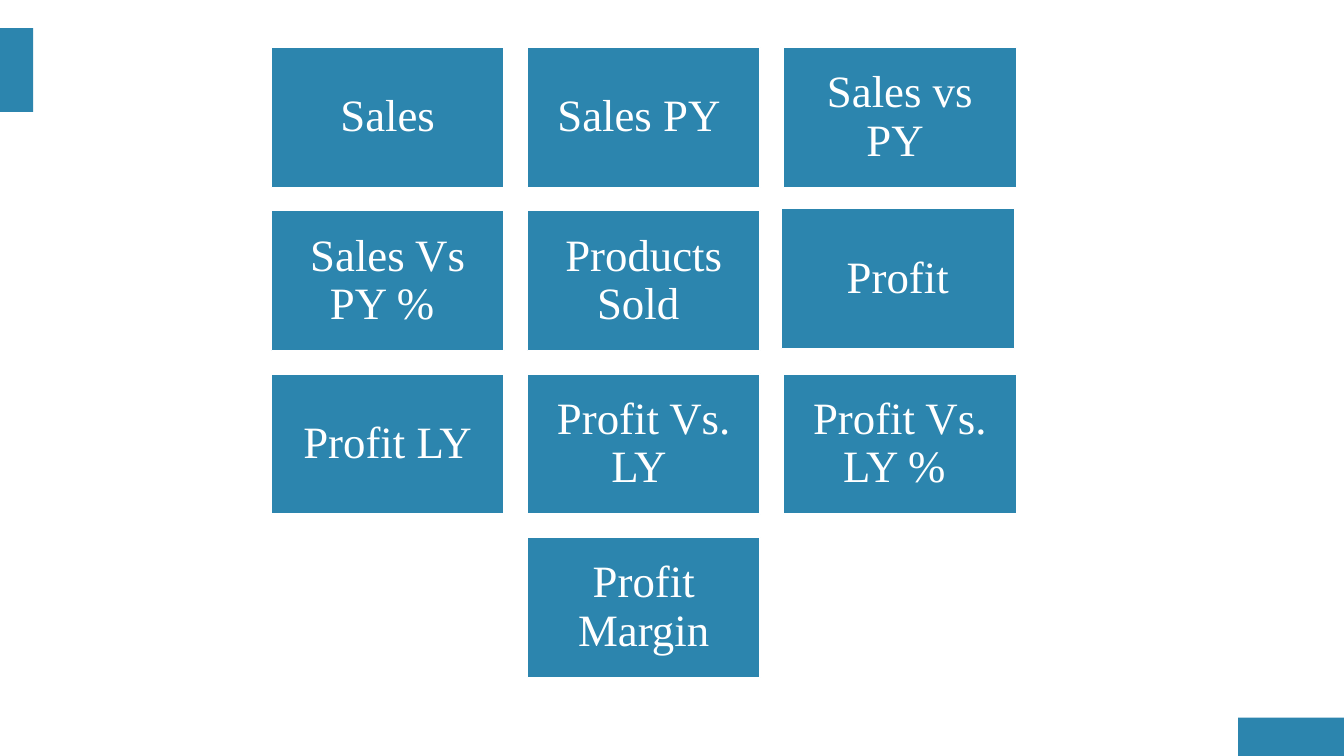
import dataclasses

import pptx
import pptx.dml.color
import pptx.enum.shapes
import pptx.enum.text
import pptx.util


@dataclasses.dataclass(frozen=True)
class Theme:
    accent: str = "2C85AE"
    light: str = "FFFFFF"
    font: str = "Times New Roman"
    tile_size: int = 32
    outline: float = 1
    line_spacing: float = 0.9
    inset: float = 0.13


@dataclasses.dataclass(frozen=True)
class Grid:
    """Tile grid in inches; a pitch is one tile plus the gap after it."""
    left: float = 2.69
    top: float = 0.47
    tile_width: float = 2.31
    tile_height: float = 1.39
    column_pitch: float = 2.54
    row_pitch: float = 1.62

    def place(self, column, row):
        return (self.left + column * self.column_pitch,
                self.top + row * self.row_pitch,
                self.tile_width, self.tile_height)


def color(code):
    return pptx.dml.color.RGBColor.from_string(code)


def write_text(shape, text, *, font, size, ink, line_spacing, inset):
    frame = shape.text_frame
    frame.word_wrap = True
    frame.auto_size = pptx.enum.text.MSO_AUTO_SIZE.TEXT_TO_FIT_SHAPE
    frame.vertical_anchor = pptx.enum.text.MSO_ANCHOR.MIDDLE
    for side in ("left", "right", "top", "bottom"):
        setattr(frame, f"margin_{side}", pptx.util.Inches(inset))
    paragraph = frame.paragraphs[0]
    paragraph.alignment = pptx.enum.text.PP_ALIGN.CENTER
    paragraph.line_spacing = line_spacing
    run = paragraph.add_run()
    run.text = text
    run.font.name = font
    run.font.size = pptx.util.Pt(size)
    run.font.color.rgb = color(ink)


class MetricSlide:
    def __init__(self, presentation, theme, grid):
        self.theme = theme
        self.grid = grid
        self.slide = presentation.slides.add_slide(presentation.slide_layouts[6])

    def block(self, left, top, width, height):
        """Add a plain accent rectangle, measured in inches."""
        shape = self.slide.shapes.add_shape(
            pptx.enum.shapes.MSO_SHAPE.RECTANGLE,
            *(pptx.util.Inches(length) for length in (left, top, width, height)))
        shape.shadow.inherit = False
        shape.fill.solid()
        shape.fill.fore_color.rgb = color(self.theme.accent)
        shape.line.fill.background()
        return shape

    def tile(self, text, column, row):
        theme = self.theme
        shape = self.block(*self.grid.place(column, row))
        shape.line.color.rgb = color(theme.light)
        shape.line.width = pptx.util.Pt(theme.outline)
        write_text(shape, text, font=theme.font, size=theme.tile_size,
                   ink=theme.light, line_spacing=theme.line_spacing,
                   inset=theme.inset)
        return shape


# Trailing spaces belong to the labels and shift their centring.
METRIC_ROWS = [
    ["Sales", "Sales PY ", "Sales vs PY "],
    ["Sales Vs PY % ", "Products Sold ", "Profit"],
    ["Profit LY", "Profit Vs. LY ", "Profit Vs. LY % "],
    ["Profit Margin"],
]
COLUMNS = 3
PROFIT_NUDGE = pptx.util.Inches(0.02)


def main():
    presentation = pptx.Presentation()
    presentation.slide_width = pptx.util.Inches(13.33)
    presentation.slide_height = pptx.util.Inches(7.5)
    metrics = MetricSlide(presentation, Theme(), Grid())

    metrics.block(12.28, 7.12, 1.05, 0.38)
    metrics.block(0, 0.28, 0.33, 0.83)

    for row, labels in enumerate(METRIC_ROWS):
        first_column = (COLUMNS - len(labels)) / 2
        for index, label in enumerate(labels):
            tile = metrics.tile(label, first_column + index, row)
            if label == "Profit":
                tile.left -= PROFIT_NUDGE
                tile.top -= PROFIT_NUDGE

    presentation.save("out.pptx")


if __name__ == "__main__":
    main()
